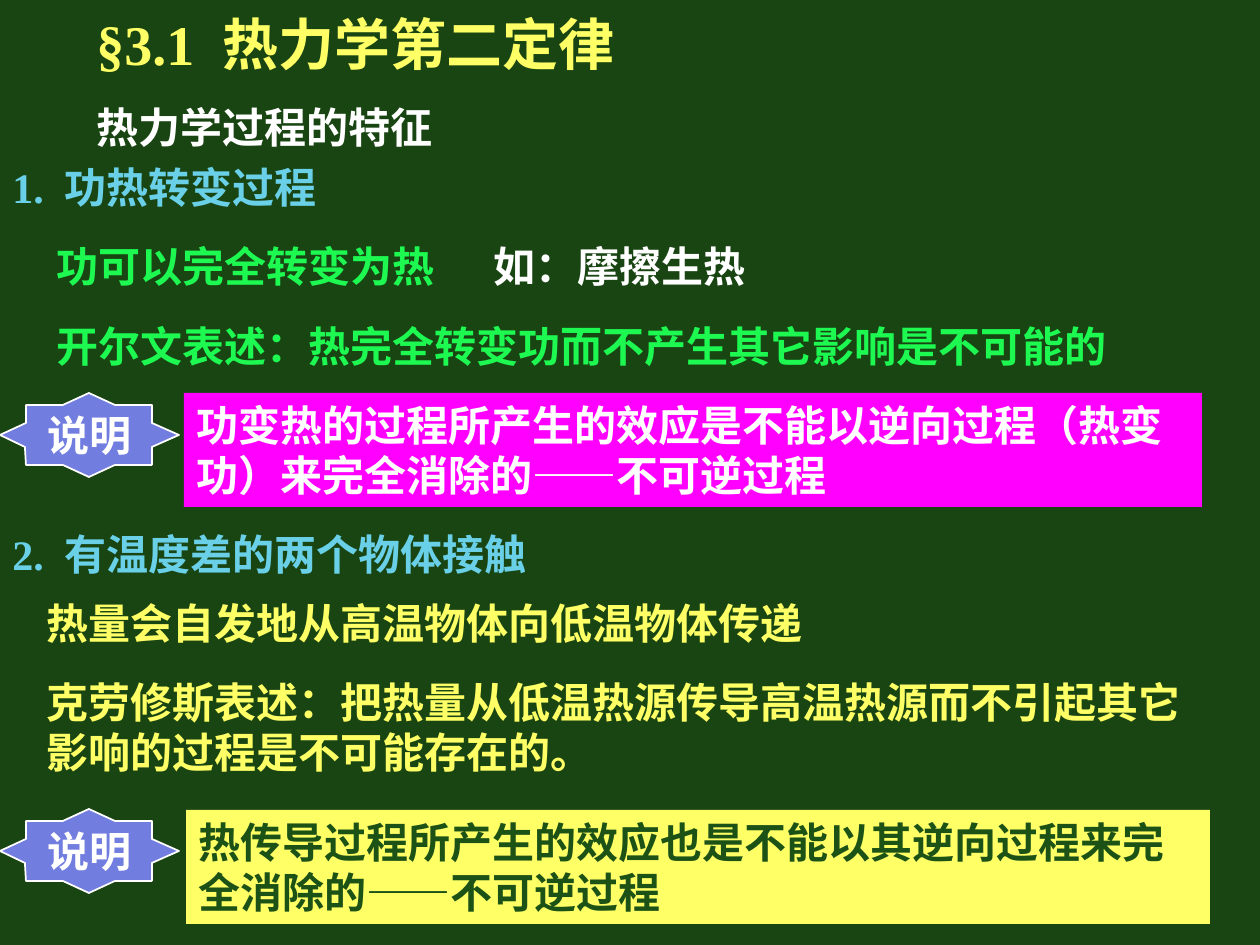
from dataclasses import dataclass

from lxml import etree
from pptx import Presentation
from pptx.dml.color import RGBColor
from pptx.enum.shapes import MSO_SHAPE
from pptx.enum.text import MSO_ANCHOR, PP_ALIGN
from pptx.oxml.ns import qn
from pptx.util import Emu, Pt

EMU_PER_PX = 914400 / 126


@dataclass(frozen=True)
class Theme:
    font: str = "Times New Roman"
    title_size: int = 32
    body_size: int = 24
    background: str = "194513"
    yellow: str = "FFFF66"
    white: str = "FFFFFF"
    green: str = "1DF951"
    cyan: str = "6AD0E8"
    magenta: str = "FF00FF"
    dark_green: str = "1D5216"
    star: str = "727DE0"


theme = Theme()


def px(length):
    return Emu(round(length * EMU_PER_PX))


def write(shape, text, color, size=theme.body_size, tab=None, wrap=True,
          anchor=MSO_ANCHOR.TOP, align=PP_ALIGN.LEFT):
    """Put one bold paragraph in the shape; tab is a tab stop in px."""
    frame = shape.text_frame
    frame.word_wrap = wrap
    frame.vertical_anchor = anchor
    paragraph = frame.paragraphs[0]
    paragraph.text = text
    paragraph.alignment = align
    if tab:
        properties = paragraph._p.get_or_add_pPr()
        tab_list = etree.SubElement(properties, qn("a:tabLst"))
        etree.SubElement(tab_list, qn("a:tab"), pos=str(px(tab)), algn="l")
    font = paragraph.font
    font.name = theme.font
    font.size = Pt(size)
    font.bold = True
    font.color.rgb = RGBColor.from_string(color)


presentation = Presentation()
presentation.slide_width = px(1260)
presentation.slide_height = px(945)
slide = presentation.slides.add_slide(presentation.slide_layouts[6])
slide.background.fill.solid()
slide.background.fill.fore_color.rgb = RGBColor.from_string(theme.background)
shapes = slide.shapes

title = shapes.add_textbox(px(84), px(0), px(1176), px(86))
write(title, "§3.1\t热力学第二定律", theme.yellow, theme.title_size, tab=126,
      anchor=MSO_ANCHOR.MIDDLE)

# left, top, width, height, colour, tab stop, text
statements = [
    (84, 95, 380, 63, theme.white, None, "热力学过程的特征"),
    (0, 155, 368, 63, theme.cyan, 52, "1.\t功热转变过程"),
    (44, 234, 493, 63, theme.green, None, "功可以完全转变为热"),
    (481, 234, 294, 63, theme.white, None, "如：摩擦生热"),
    (44, 314, 1155, 63, theme.green, None,
     "开尔文表述：热完全转变功而不产生其它影响是不可能的"),
    (0, 522, 588, 63, theme.cyan, 52, "2.\t有温度差的两个物体接触"),
    (34, 591, 840, 63, theme.yellow, None, "热量会自发地从高温物体向低温物体传递"),
    (34, 670, 1184, 113, theme.yellow, None,
     "克劳修斯表述：把热量从低温热源传导高温热源而不引起其它影响的过程是不可能存在的。"),
]
for left, top, width, height, color, tab, text in statements:
    box = shapes.add_textbox(px(left), px(top), px(width), px(height))
    write(box, text, color, tab=tab)

# left, top, width, fill, text colour, text
notes = [
    (184, 393, 1018, theme.magenta, theme.white,
     "功变热的过程所产生的效应是不能以逆向过程（热变功）来完全消除的——不可逆过程"),
    (186, 810, 1024, theme.yellow, theme.dark_green,
     "热传导过程所产生的效应也是不能以其逆向过程来完全消除的——不可逆过程"),
]
for left, top, width, fill, color, text in notes:
    note = shapes.add_shape(MSO_SHAPE.RECTANGLE, px(left), px(top), px(width), px(114))
    note.shadow.inherit = False
    note.fill.solid()
    note.fill.fore_color.rgb = RGBColor.from_string(fill)
    note.line.fill.background()
    write(note, text, color)

star_points = [
    (0, 42), (25, 54), (26, 72), (63, 72), (89, 84), (115, 72), (152, 72), (152, 54),
    (179, 42), (152, 30), (152, 12), (115, 12), (89, 0), (63, 12), (26, 12), (26, 30),
]
for top in (393, 809):
    builder = shapes.build_freeform(*star_points[0], scale=EMU_PER_PX)
    builder.add_line_segments(star_points[1:], close=True)
    star = builder.convert_to_shape(px(0), px(top))
    star.shadow.inherit = False
    star.fill.solid()
    star.fill.fore_color.rgb = RGBColor.from_string(theme.star)
    star.line.color.rgb = RGBColor.from_string(theme.white)
    star.line.width = Pt(1)
    write(star, "说明", theme.white, wrap=False, anchor=MSO_ANCHOR.MIDDLE,
          align=PP_ALIGN.CENTER)

presentation.save("out.pptx")
